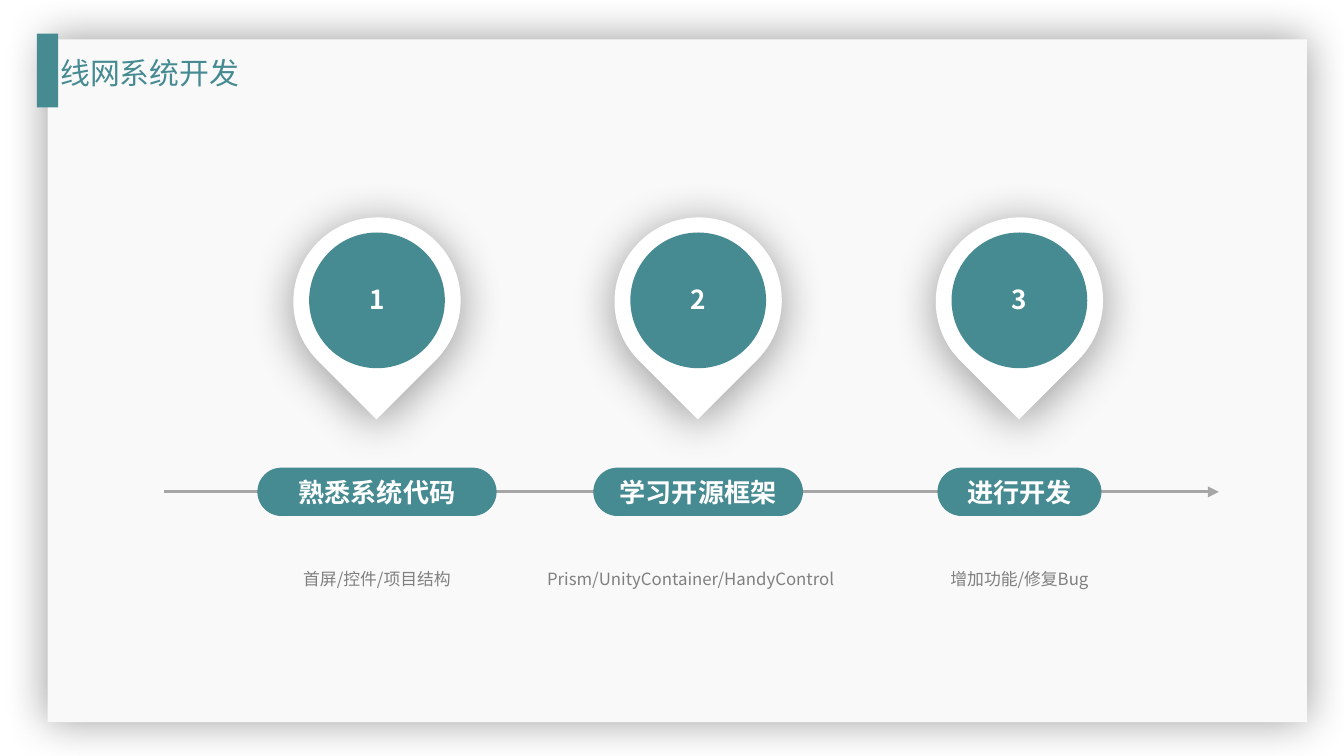
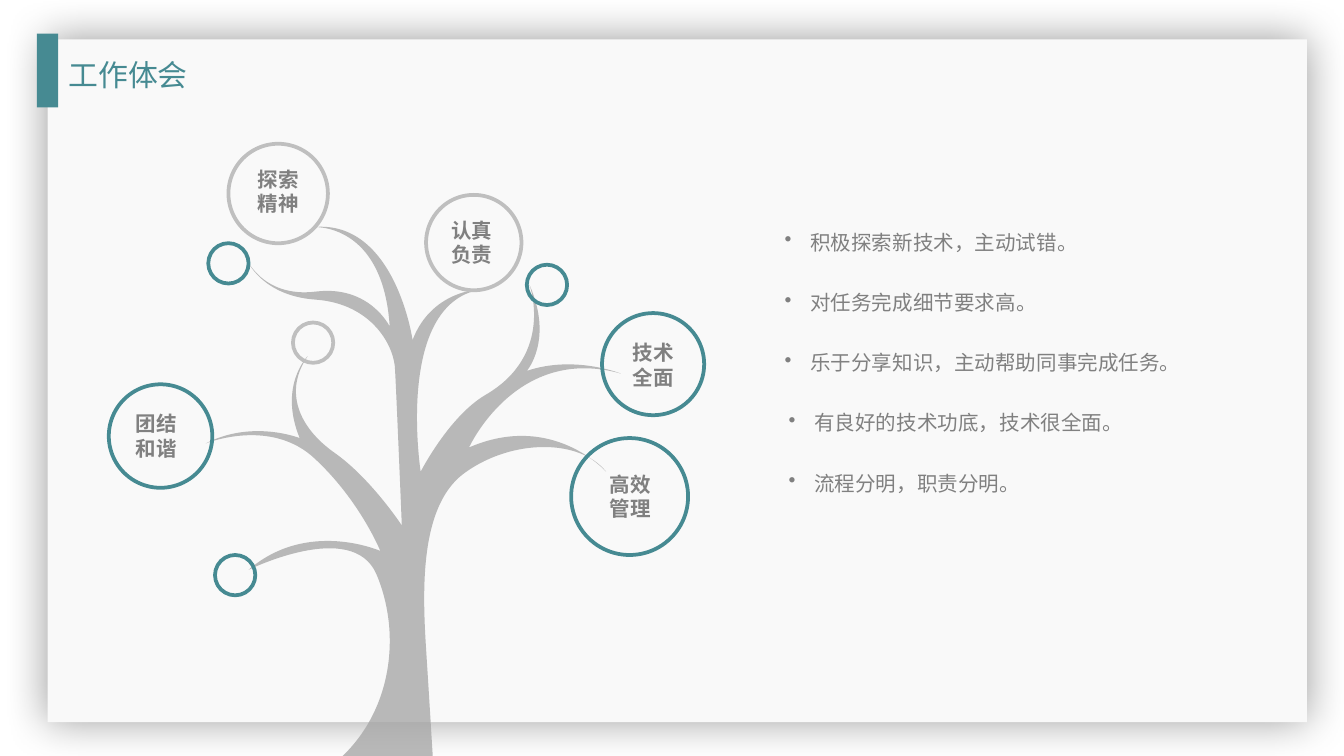
from dataclasses import dataclass
from typing import NamedTuple, Optional, Union

from lxml.etree import SubElement
from pptx import Presentation
from pptx.dml.color import RGBColor
from pptx.enum.shapes import MSO_CONNECTOR, MSO_SHAPE as Preset
from pptx.enum.text import MSO_ANCHOR as Anchor, MSO_AUTO_SIZE as AutoSize, PP_ALIGN as Align
from pptx.oxml.ns import qn
from pptx.shapes.autoshape import Shape
from pptx.shapes.group import GroupShape
from pptx.slide import Slide
from pptx.util import Emu, Inches, Pt

SLIDE_WIDTH, SLIDE_HEIGHT = Inches(10), Inches(5.625)
COLUMNS, ROWS = 100, 56.25
FONT = "Noto Sans CJK SC"
COLOURS = {
    "teal": "468A92",
    "panel": "F9F9F9",
    "white": "FFFFFF",
    "black": "000000",
    "text": "808080",
    "trunk": "A6A6A6",
    "ring": "BFBFBF",
}
Canvas = Union[Slide, GroupShape]


class Box(NamedTuple):
    """A place on the grid, in columns and rows."""
    left: float
    top: float
    width: float
    height: float


class Inset(NamedTuple):
    """Text margins in inches."""
    side: float
    end: float


@dataclass(frozen=True)
class Step:
    title: str
    pill_width: float
    caption: str
    caption_width: float
    caption_align: Align = Align.CENTER


@dataclass(frozen=True)
class Bubble:
    left: float
    top: float
    diameter: float
    colour: str
    label: str = ""
    label_box: Optional[Box] = None


@dataclass(frozen=True)
class Bullet:
    text: str
    left: float
    width: float


WIDE_INSET, TITLE_INSET, STEP_INSET = Inset(0.1, 0.05), Inset(0.08, 0.04), Inset(0.07, 0.04)
FIRST_PIN_CENTRE, PIN_STEP = 28.05, 23.9
AXIS_ROW = 36.6
FIRST_BULLET_ROW, BULLET_STEP = 16.6, 4.48

STEPS = [
    Step("熟悉系统代码", 17.8, "首屏/控件/项目结构", 21),
    Step("学习开源框架", 15.6, "Prism/UnityContainer/HandyControl", 23.9, Align.LEFT),
    Step("进行开发", 12.2, "增加功能/修复Bug", 15.6),
]

BUBBLES = [
    Bubble(42.5, 32.6, 8.7, "teal", "高效管理", Box(44.4, 34.6, 5.6, 4.7)),
    Bubble(8.1, 28.6, 7.7, "teal", "团结和谐", Box(9.1, 30.1, 5.8, 4.7)),
    Bubble(44.8, 23.3, 7.6, "teal", "技术全面", Box(46.1, 24.8, 5.1, 4.7)),
    Bubble(31.7, 14.5, 7.1, "ring", "认真负责", Box(32.6, 15.7, 5.5, 4.7)),
    Bubble(17, 10.7, 7.4, "ring", "探索精神", Box(18.2, 11.9, 6.2, 4.7)),
    Bubble(15.5, 18.1, 3, "teal"),
    Bubble(21.8, 24, 3, "ring"),
    Bubble(39.2, 19.7, 3, "teal"),
    Bubble(16, 41.3, 3, "teal"),
]

BULLETS = [
    Bullet("积极探索新技术，主动试错。", 57.4, 24),
    Bullet("对任务完成细节要求高。", 57.4, 20.9),
    Bullet("乐于分享知识，主动帮助同事完成任务。", 57.4, 31.7),
    Bullet("有良好的技术功底，技术很全面。", 57.7, 27.1),
    Bullet("流程分明，职责分明。", 57.7, 19.3),
]

TREE_START = (25.5, 56.25)
# Each curve: two control points, then its end point.
TREE_CURVES = [
    ((32.2, 56.25), (32.2, 56.25), (32.2, 56.25)),
    ((32.2, 56.25), (32, 53), (31.7, 48.2)),
    ((31.4, 43.5), (31.3, 37.4), (34.7, 35.1)),
    ((38.1, 32.7), (43.1, 32.6), (45.1, 35.1)),
    ((45.1, 35.1), (41.1, 30.6), (34.9, 33.3)),
    ((34.9, 33.3), (38.4, 25.6), (46.2, 27.8)),
    ((46.2, 27.8), (42.7, 26.4), (39.2, 27.6)),
    ((39.2, 27.6), (41.2, 25.3), (39.4, 21.2)),
    ((39.4, 21.2), (41.3, 26.4), (36.1, 29.4)),
    ((33.4, 31), (31.3, 35.1), (31.3, 35.1)),
    ((31.3, 35.1), (29.3, 22.2), (36.1, 21.5)),
    ((36.1, 21.5), (32.2, 21.4), (30.7, 25.3)),
    ((30.7, 25.3), (29.4, 16.3), (23.3, 16.9)),
    ((23.3, 16.9), (28.5, 16.5), (29, 24.3)),
    ((29, 24.3), (27.5, 21.2), (23.5, 21.7)),
    ((19.4, 22.2), (18.2, 19), (18.2, 19)),
    ((18.2, 19), (19.2, 22), (23.5, 22.3)),
    ((27.7, 22.6), (29.4, 25.8), (29.4, 27.6)),
    ((29.5, 29.3), (29.9, 39.1), (29.9, 39.1)),
    ((29.9, 39.1), (27.6, 35.6), (24.9, 33.7)),
    ((22.2, 31.8), (21.1, 29.1), (22.9, 26.5)),
    ((22.9, 26.5), (20.7, 28.7), (22.3, 32.6)),
    ((22.3, 32.6), (18.8, 31.2), (15.3, 33)),
    ((15.3, 33), (20.2, 31), (23.5, 34.2)),
    ((26.8, 37.3), (28.3, 41), (28.3, 41)),
    ((28.3, 41), (22.9, 38.6), (18.5, 42.4)),
    ((18.5, 42.4), (26.2, 38.6), (28, 42.7)),
    ((29.8, 46.9), (29.3, 52.6), TREE_START),
]


def columns(count: float) -> Emu:
    return Emu(round(SLIDE_WIDTH * count / COLUMNS))


def rows(count: float) -> Emu:
    return Emu(round(SLIDE_HEIGHT * count / ROWS))


def place(box: Box) -> tuple[Emu, Emu, Emu, Emu]:
    return columns(box.left), rows(box.top), columns(box.width), rows(box.height)


def centred(centre: float, top: float, width: float, height: float) -> Box:
    return Box(centre - width / 2, top, width, height)


def colour_of(name: str) -> RGBColor:
    return RGBColor.from_string(COLOURS[name])


def add_preset(canvas: Canvas, preset: Preset, box: Box, *, fill: Optional[str] = None,
               line: Optional[str] = None) -> Shape:
    shape = canvas.shapes.add_shape(preset, *place(box))
    if fill:
        shape.fill.solid()
        shape.fill.fore_color.rgb = colour_of(fill)
    else:
        shape.fill.background()
    if line:
        shape.line.color.rgb = colour_of(line)
        shape.line.width = Pt(2)
    else:
        shape.line.fill.background()
    shape.shadow.inherit = False
    return shape


def cast_shadow(shape: Shape, *, blur: float, distance: float = 0, angle: int = 0) -> None:
    effects = shape.element.spPr.find(qn("a:effectLst"))
    shadow = SubElement(effects, qn("a:outerShdw"), blurRad=str(Pt(blur)),
                        dist=str(Pt(distance)), dir=str(angle * 60000),
                        algn="ctr", rotWithShape="0")
    colour = SubElement(shadow, qn("a:srgbClr"), val=COLOURS["black"])
    SubElement(colour, qn("a:alpha"), val="40000")


def write_text(shape: Shape, text: str, *, size: float, colour: str, bold: bool = False,
               align: Align = Align.LEFT, inset: Inset = WIDE_INSET,
               anchor: Anchor = Anchor.TOP, grow: bool = True, wrap: bool = True,
               bullet: bool = False) -> None:
    frame = shape.text_frame
    frame.word_wrap = wrap
    frame.auto_size = AutoSize.SHAPE_TO_FIT_TEXT if grow else AutoSize.NONE
    frame.vertical_anchor = anchor
    frame.margin_left = frame.margin_right = Inches(inset.side)
    frame.margin_top = frame.margin_bottom = Inches(inset.end)
    paragraph = frame.paragraphs[0]
    paragraph.alignment = align
    if bullet:
        properties = paragraph._p.get_or_add_pPr()
        hang = Inches(0.19)
        properties.set("marL", str(hang))
        properties.set("indent", str(-hang))
        SubElement(properties, qn("a:buChar"), char="•")
    run = paragraph.add_run()
    run.text = text
    run.font.size = Pt(size)
    run.font.bold = bold
    run.font.name = FONT
    run.font.color.rgb = colour_of(colour)
    SubElement(run._r.get_or_add_rPr(), qn("a:ea"), typeface=FONT)


def add_text(canvas: Canvas, text: str, box: Box, **text_format) -> None:
    write_text(canvas.shapes.add_textbox(*place(box)), text, **text_format)


def add_framed_slide(presentation, title: str, title_left: float, title_top: float) -> Slide:
    """Add a slide with the shadowed panel, the corner bar and its title."""
    slide = presentation.slides.add_slide(presentation.slide_layouts[6])
    panel = add_preset(slide, Preset.RECTANGLE, Box(3.55, 2.93, 93.7, 50.8), fill="panel")
    cast_shadow(panel, blur=23)
    add_preset(slide, Preset.RECTANGLE, Box(2.75, 2.5, 1.57, 5.5), fill="teal")
    add_text(slide, title, Box(title_left, title_top, 20.1, 3.5), size=16, colour="teal",
             align=Align.JUSTIFY, inset=TITLE_INSET)
    return slide


def add_axis(slide: Slide) -> None:
    axis = slide.shapes.add_connector(MSO_CONNECTOR.STRAIGHT, columns(12.2), rows(AXIS_ROW),
                                      columns(90.7), rows(AXIS_ROW))
    axis.line.color.rgb = colour_of("trunk")
    axis.line.width = Pt(1.5)
    SubElement(axis.line._get_or_add_ln(), qn("a:tailEnd"), type="triangle")
    SubElement(axis.element.spPr, qn("a:effectLst"))


def add_pin(slide: Slide, centre: float, number: int) -> None:
    pin = slide.shapes.add_group_shape()
    drop = add_preset(pin, Preset.TEAR, centred(centre, 16.2, 12.5, 12.4), fill="white")
    drop.rotation = 135
    cast_shadow(drop, blur=25, distance=3, angle=90)
    add_preset(pin, Preset.OVAL, centred(centre, 17.3, 10.1, 10.1), fill="teal")
    add_text(pin, str(number), centred(centre, 20.7, 6.6, 3.1), size=14, colour="white",
             bold=True, align=Align.CENTER, inset=STEP_INSET)


def add_step(slide: Slide, index: int, step: Step) -> None:
    centre = FIRST_PIN_CENTRE + index * PIN_STEP
    add_pin(slide, centre, index + 1)
    pill = add_preset(slide, Preset.ROUNDED_RECTANGLE,
                      centred(centre, AXIS_ROW - 1.8, step.pill_width, 3.6), fill="teal")
    pill.adjustments[0] = 0.5
    write_text(pill, step.title, size=14, colour="white", bold=True, align=Align.CENTER,
               inset=STEP_INSET, anchor=Anchor.MIDDLE, grow=False)
    add_text(slide, step.caption, centred(centre, 41.9, step.caption_width, 2.3), size=9,
             colour="text", align=step.caption_align, inset=STEP_INSET)


def add_tree(slide: Slide) -> None:
    """Outline the tree through all curve points, then bend each three segments into one curve."""
    builder = slide.shapes.build_freeform(columns(TREE_START[0]), rows(TREE_START[1]))
    builder.add_line_segments([(columns(x), rows(y)) for curve in TREE_CURVES for x, y in curve])
    tree = builder.convert_to_shape()
    segments = list(tree.element.iter(qn("a:lnTo")))
    for first in range(0, len(segments), 3):
        outline = segments[first].getparent()
        curve = SubElement(outline, qn("a:cubicBezTo"))
        outline.replace(segments[first], curve)
        for segment in segments[first:first + 3]:
            curve.append(segment[0])
            if segment.getparent() is not None:
                outline.remove(segment)
    tree.fill.solid()
    tree.fill.fore_color.rgb = colour_of("trunk")
    fill_colour = tree.element.spPr.find(qn("a:solidFill")).find(qn("a:srgbClr"))
    SubElement(fill_colour, qn("a:alpha"), val="78000")
    tree.line.fill.background()
    tree.shadow.inherit = False


def add_bubble(slide: Slide, bubble: Bubble) -> None:
    add_preset(slide, Preset.OVAL, Box(bubble.left, bubble.top, bubble.diameter, bubble.diameter),
               line=bubble.colour)
    if bubble.label_box:
        add_text(slide, bubble.label, bubble.label_box, size=11, colour="text", bold=True)


def build_steps_slide(presentation) -> None:
    slide = add_framed_slide(presentation, " 线网系统开发", 3.2, 3.7)
    add_axis(slide)
    for index, step in enumerate(STEPS):
        add_step(slide, index, step)


def build_tree_slide(presentation) -> None:
    slide = add_framed_slide(presentation, "工作体会", 4.3, 3.8)
    add_tree(slide)
    for bubble in BUBBLES:
        add_bubble(slide, bubble)
    for index, bullet in enumerate(BULLETS):
        box = Box(bullet.left, FIRST_BULLET_ROW + index * BULLET_STEP, bullet.width, 2.9)
        add_text(slide, bullet.text, box, size=11, colour="text", wrap=False, bullet=True)


def main() -> None:
    presentation = Presentation()
    presentation.slide_width, presentation.slide_height = SLIDE_WIDTH, SLIDE_HEIGHT
    build_steps_slide(presentation)
    build_tree_slide(presentation)
    presentation.save("out.pptx")


if __name__ == "__main__":
    main()
